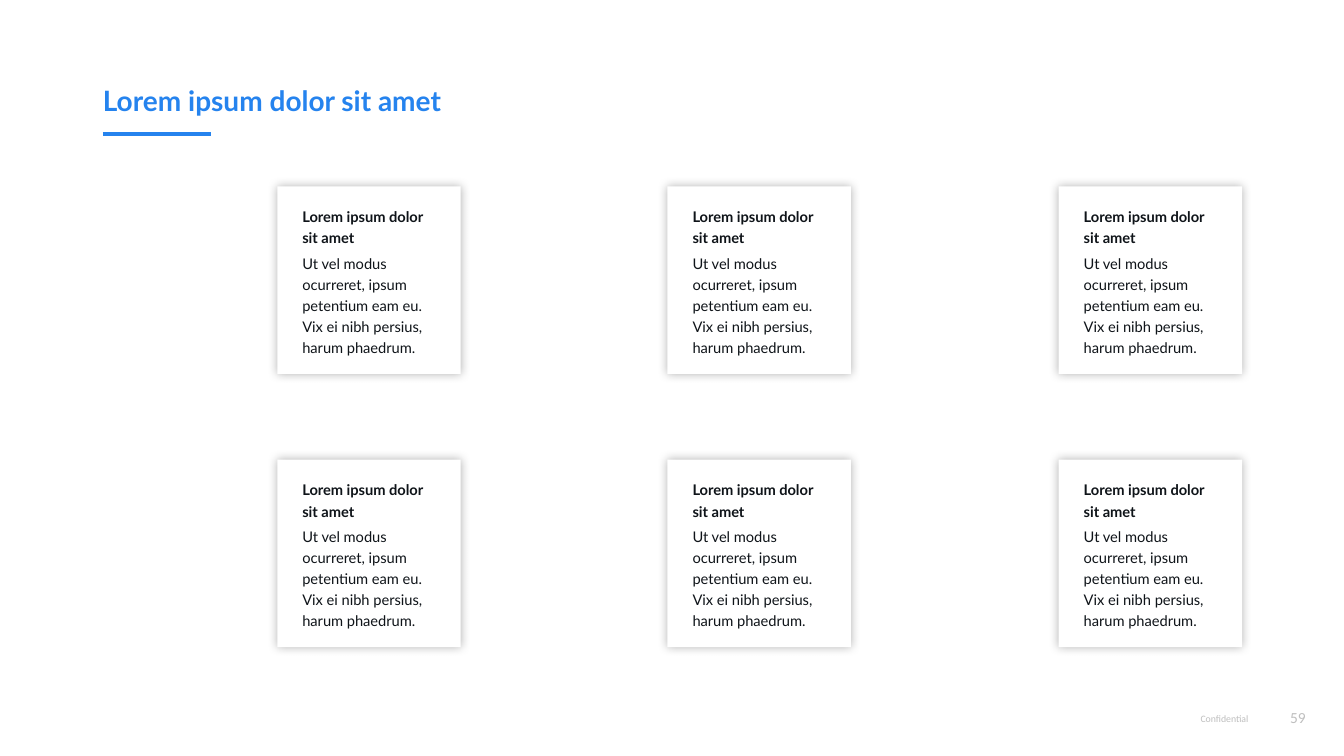
from itertools import product
from lxml import etree
from pptx import Presentation
from pptx import util as u
from pptx.dml.color import RGBColor
from pptx.enum import shapes, text
from pptx.oxml import parse_xml
from pptx.oxml.ns import qn

PX = 9144
BLUE, INK, GREY, WHITE = "2583EE", "0F1419", "BFBFBF", "FFFFFF"
HEADING = "Lorem ipsum dolor sit amet"
BODY = "Ut vel modus ocurreret, ipsum petentium eam eu. Vix ei nibh persius, harum phaedrum."
SHADOW = (
    '<a:effectLst xmlns:a="http://schemas.openxmlformats.org/drawingml/2006/main">'
    '<a:outerShdw blurRad="88900" dist="0" dir="0" algn="ctr" rotWithShape="0">'
    '<a:srgbClr val="000000"><a:alpha val="30000"/></a:srgbClr>'
    "</a:outerShdw></a:effectLst>"
)


def rgb(value):
    return RGBColor.from_string(value)


def emu(*px):
    return [u.Emu(v * PX) for v in px]


class Deck:
    def __init__(self, width, height):
        self.prs = Presentation()
        self.prs.slide_width, self.prs.slide_height = emu(width, height)
        self.s = self.prs.slides.add_slide(self.prs.slide_layouts[5])

    def style(self, p, size, color, font="Lato", bold=False, align=text.PP_ALIGN.LEFT):
        p.alignment = align
        p.line_spacing = 1.2
        p.space_before = u.Pt(0)
        for r in p.runs:
            r.font.name = font
            r.font.size = u.Pt(size)
            r.font.bold = bold
            r.font.color.rgb = rgb(color)

    def title(self, words, *box):
        sp = self.s.shapes.title
        sp.left, sp.top, sp.width, sp.height = emu(*box)
        tf = sp.text_frame
        tf.text = words
        tf.word_wrap = True
        tf.auto_size = text.MSO_AUTO_SIZE.NONE
        tf.vertical_anchor = text.MSO_ANCHOR.BOTTOM
        self.style(tf.paragraphs[0], 20, BLUE, bold=True)

    def line(self, *ends):
        c = self.s.shapes.add_connector(shapes.MSO_CONNECTOR.STRAIGHT, *emu(*ends))
        c.line.color.rgb = rgb(BLUE)
        c.line.width = u.Pt(2.25)
        etree.SubElement(c._element.spPr, qn("a:effectLst"))

    def card(self, *box):
        sp = self.s.shapes.add_shape(shapes.MSO_SHAPE.RECTANGLE, *emu(*box))
        sp.fill.solid()
        sp.fill.fore_color.rgb = rgb(WHITE)
        sp.line.fill.background()
        sp._element.spPr.append(parse_xml(SHADOW))

    def textbox(self, words, *box):
        tf = self.s.shapes.add_textbox(*emu(*box)).text_frame
        tf.word_wrap = True
        tf.text = words
        return tf

    def card_text(self, *box):
        tf = self.textbox(HEADING, *box)
        self.style(tf.paragraphs[0], 10.5, INK, bold=True)
        p = tf.add_paragraph()
        p.text = BODY
        self.style(p, 10.5, INK)
        p.space_before = u.Pt(3)

    def footer(self, words, size, *box):
        tf = self.textbox(words, *box)
        self.style(tf.paragraphs[0], size, GREY, "Calibri", align=text.PP_ALIGN.RIGHT)


def main():
    deck = Deck(1333, 750)
    deck.line(102, 133, 209, 133)
    deck.footer("Confidential", 7, 1123, 700, 125, 23)
    deck.footer("59", 11, 1265, 694, 40, 31)
    deck.title(HEADING, 92, 40, 1150, 81)
    grid = [(275 + col * 775 // 2, 185 + row * 271) for row, col in product(range(2), range(3))]
    for x, y in grid:
        deck.card(x, y, 182, 186)
    for x, y in grid:
        deck.card_text(x + 15, y + 13, 151, 168)
    deck.prs.save("out.pptx")


if __name__ == "__main__":
    main()
